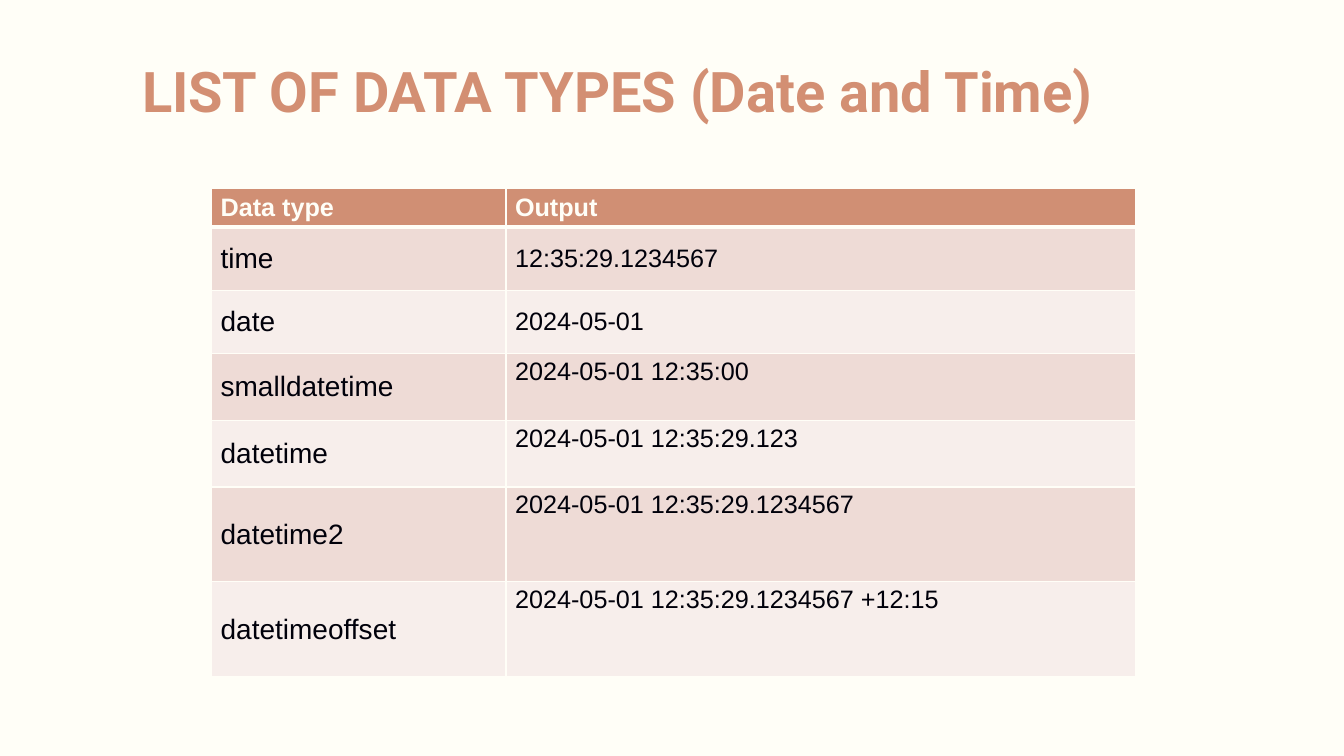
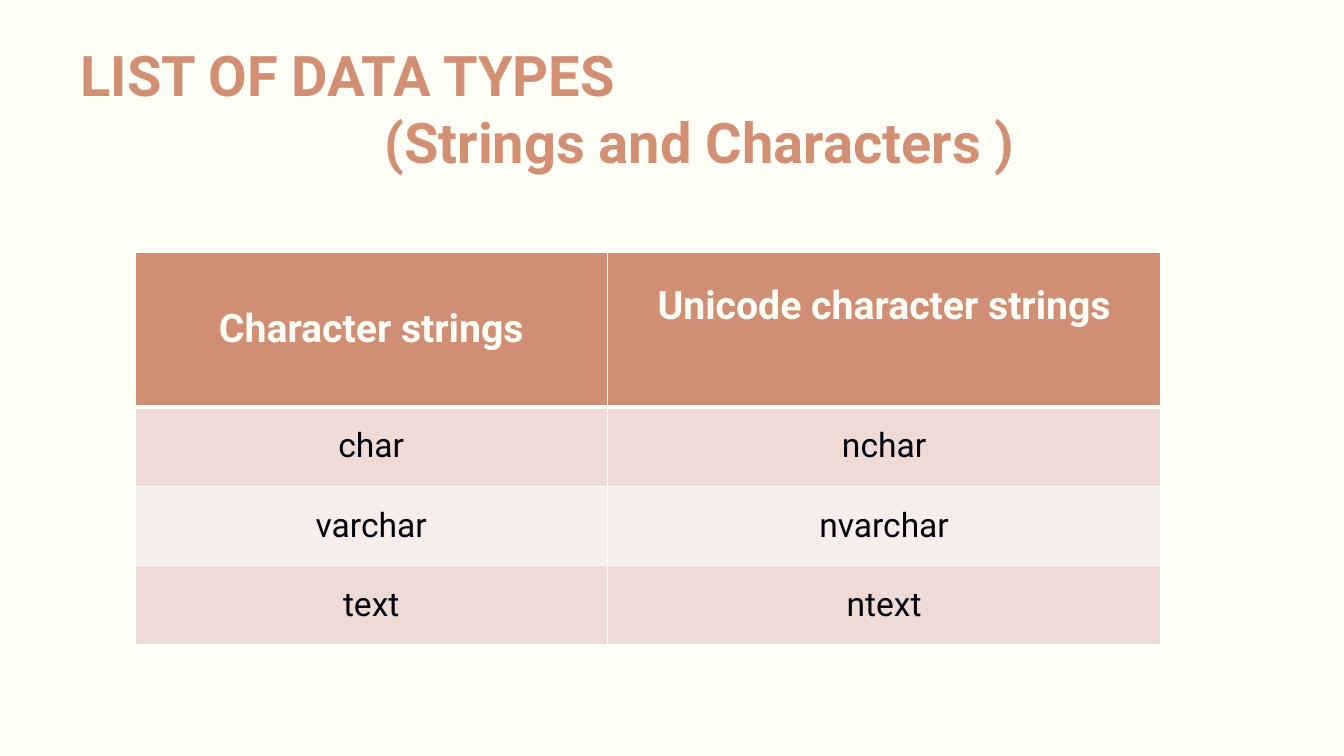
from lxml import etree
from pptx import Presentation
from pptx import util as u
from pptx.dml import color
from pptx.enum import text
from pptx.oxml import ns

CREAM, CLAY, TITLE, INK = "FFFEF7", "D08F74", "D38F73", "00000A"
BANDS = ["EEDBD6", "F7EEEB"]
LEFT, CENTER = text.PP_ALIGN.LEFT, text.PP_ALIGN.CENTER
TOP, MIDDLE = text.MSO_ANCHOR.TOP, text.MSO_ANCHOR.MIDDLE

# Lengths are in centimetres; title lines are (text, indent).
SLIDES = [
    {
        "title": [("LIST OF DATA TYPES (Date and Time)", 0)],
        "title_box": (3.4, 1.04, 26.21, 2.44),
        "rows": [
            ("Data type", "Output"),
            ("time", "12:35:29.1234567"),
            ("date", "2024-05-01"),
            ("smalldatetime", "2024-05-01 12:35:00"),
            ("datetime", "2024-05-01 12:35:29.123"),
            ("datetime2", "2024-05-01 12:35:29.1234567"),
            ("datetimeoffset", "2024-05-01 12:35:29.1234567 +12:15"),
        ],
        "corner": (5.33, 4.75),
        "widths": [7.42, 15.88],
        "heights": [0.94, 1.6, 1.6, 1.68, 1.68, 2.39, 2.39],
        "font": "Arial", "align": LEFT,
        "header_size": 18, "body_sizes": [20, 18],
        "top_cells": [(row, 1) for row in range(3, 7)],
        "raised_cells": [],
    },
    {
        "title": [("LIST OF DATA TYPES", 0), ("(Strings and Characters )", 7.67)],
        "title_box": (1.85, 1.04, 28.45, 3.35),
        "rows": [
            ("Character strings", "Unicode character strings"),
            ("char", "nchar"),
            ("varchar", "nvarchar"),
            ("text", "ntext"),
        ],
        "corner": (3.4, 6.35),
        "widths": [11.91, 13.94],
        "heights": [3.9, 2, 2, 2],
        "font": "Roboto", "align": CENTER,
        "header_size": 28, "body_sizes": [24, 24],
        "top_cells": [],
        "raised_cells": [(0, 1)],
    },
]


def rgb(value):
    return color.RGBColor.from_string(value)


def write(para, words, font, size, ink, bold):
    span = para.add_run()
    span.text = words
    for name, value in {"name": font, "size": u.Pt(size), "bold": bold}.items():
        setattr(span.font, name, value)
    span.font.color.rgb = rgb(ink)


def add_title(page, lines, place):
    frame = page.shapes.add_textbox(*map(u.Cm, place)).text_frame
    layout = {"word_wrap": True, "vertical_anchor": MIDDLE,
              "margin_left": u.Cm(0.18), "margin_right": u.Cm(0.18),
              "margin_top": u.Cm(0.1), "margin_bottom": u.Cm(0.1)}
    for name, value in layout.items():
        setattr(frame, name, value)
    for index, (words, indent) in enumerate(lines):
        para = frame.add_paragraph() if index else frame.paragraphs[0]
        if indent:
            para._p.get_or_add_pPr().set("marL", str(u.Cm(indent)))
        write(para, words, "Roboto", 40, TITLE, True)


def add_borders(cell, row):
    """Thin rules all round, with a thick one below the header."""
    widths = {"lnL": 1, "lnR": 1, "lnT": 3 if row == 1 else 1, "lnB": 3 if row == 0 else 1}
    props = cell._tc.get_or_add_tcPr()
    for side, width in widths.items():
        line = etree.SubElement(props, ns.qn(f"a:{side}"), w=str(u.Pt(width)))
        fill = etree.SubElement(line, ns.qn("a:solidFill"))
        etree.SubElement(fill, ns.qn("a:srgbClr"), val=CREAM)


def style_cell(cell, row, column, data):
    header = row == 0
    raised = (row, column) in data["raised_cells"]
    layout = {"margin_left": u.Cm(0.23), "margin_right": u.Cm(0.23),
              "margin_top": u.Cm(0.1), "margin_bottom": u.Cm(1.27 if raised else 0.1),
              "vertical_anchor": TOP if (row, column) in data["top_cells"] else MIDDLE}
    for name, value in layout.items():
        setattr(cell, name, value)
    add_borders(cell, row)
    cell.fill.solid()
    cell.fill.fore_color.rgb = rgb(CLAY if header else BANDS[(row - 1) % 2])
    para = cell.text_frame.paragraphs[0]
    para.alignment = data["align"]
    size = data["header_size"] if header else data["body_sizes"][column]
    write(para, data["rows"][row][column], data["font"], size, CREAM if header else INK, header)


def add_data_table(page, data):
    widths, heights = data["widths"], data["heights"]
    place = (*data["corner"], sum(widths), sum(heights))
    table = page.shapes.add_table(len(heights), len(widths), *map(u.Cm, place)).table
    for column, width in zip(table.columns, widths):
        column.width = u.Cm(width)
    for row, height in enumerate(heights):
        table.rows[row].height = u.Cm(height)
        for column in range(len(widths)):
            style_cell(table.cell(row, column), row, column, data)


def main():
    deck = Presentation()
    deck.slide_width, deck.slide_height = u.Cm(33.87), u.Cm(19.05)
    background = deck.slide_master.background.fill
    background.solid()
    background.fore_color.rgb = rgb(CREAM)
    for data in SLIDES:
        page = deck.slides.add_slide(deck.slide_layouts[6])
        add_title(page, data["title"], data["title_box"])
        add_data_table(page, data)
    deck.save("out.pptx")


if __name__ == "__main__":
    main()
